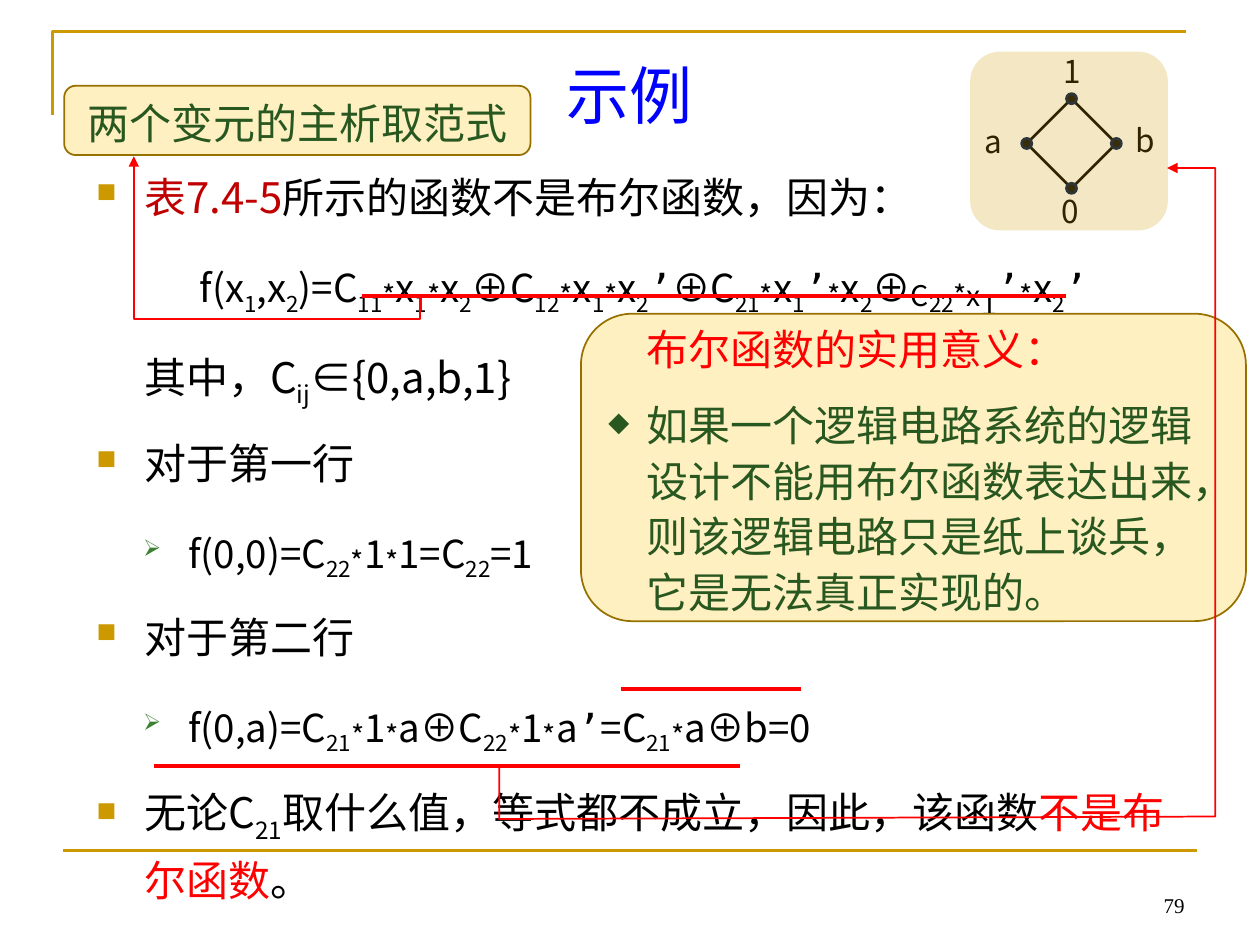
from lxml import etree
from pptx import Presentation
from pptx.dml.color import RGBColor
from pptx.enum.shapes import MSO_CONNECTOR, MSO_SHAPE
from pptx.enum.text import MSO_ANCHOR, PP_ALIGN
from pptx.oxml.ns import qn
from pptx.util import Pt

LINE = MSO_CONNECTOR.STRAIGHT
ROUND, OVAL = MSO_SHAPE.ROUNDED_RECTANGLE, MSO_SHAPE.OVAL
TOP, MID, LOW = MSO_ANCHOR.TOP, MSO_ANCHOR.MIDDLE, MSO_ANCHOR.BOTTOM
LEFT, MIDST, RIGHT = PP_ALIGN.LEFT, PP_ALIGN.CENTER, PP_ALIGN.RIGHT
SANS, MONO, SERIF = "Noto Sans CJK SC", "DejaVu Sans Mono", "Times New Roman"
GOLD, RED, BLACK, GREEN = "CC9900", "FF0000", "000000", "285720"
CREAM, BROWN = "FFF0C2", "977100"
SQUARE = ("■", GOLD, 65)
ARROW = ("➢", "3B812F", 60)
GEM = ("◆", GREEN, 65)


def tint(text):
    return RGBColor.from_string(text)


def put(item, vals):
    for key, val in vals.items():
        setattr(item, key, val)


def sub(top, tag, **vals):
    return etree.SubElement(top, qn(tag), vals)


def add_run(para, text, size, color, font=SANS, base=0):
    run = para.add_run()
    run.text = text
    put(run.font, {"size": Pt(size), "name": font})
    run.font.color.rgb = tint(color)
    props = run.font._element
    sub(props, "a:ea", typeface=font)
    if base:
        props.set("baseline", str(base * 1000))


def add_math(para, text, size, color, font=SANS):
    # "_" toggles subscripts, "~" toggles large lowered text
    low = big = False
    part, last = "", None
    for sign in text:
        if sign == "_":
            low = not low
            continue
        if sign == "~":
            big = not big
            continue
        large = big or sign == "*"
        base = -25 if low else -8 if large else 0
        look = (28 if large else size, color, MONO if sign == "’" else font, base)
        if part and look != last:
            add_run(para, part, *last)
            part = ""
        part, last = part + sign, look
    add_run(para, part, *last)


def add_mark(para, mark):
    char, color, size = mark
    props = para._p.get_or_add_pPr()
    sub(sub(props, "a:buClr"), "a:srgbClr", val=color)
    sub(props, "a:buSzPct", val=str(size * 1000))
    sub(props, "a:buChar", char=char)


def add_para(frame, first, runs, size, font=SANS, mark=None, left=0, hang=0, **form):
    para = frame.paragraphs[0] if first else frame.add_paragraph()
    if first:
        form.pop("space_before", None)
    put(para, form)
    props = para._p.get_or_add_pPr()
    props.set("marL", str(Pt(left)))
    props.set("indent", str(Pt(hang)))
    if mark:
        add_mark(para, mark)
    for text, color in runs:
        add_math(para, text, size, color, font)


def fill_text(shape, paras, anchor=TOP):
    frame = shape.text_frame
    put(frame, {"word_wrap": True, "vertical_anchor": anchor})
    for i, para in enumerate(paras):
        add_para(frame, i == 0, **para)


def add_text(slide, box, paras, anchor=TOP):
    fill_text(slide.shapes.add_textbox(*map(Pt, box)), paras, anchor)


def add_form(slide, kind, box, fill, line=None, width=1, alpha=None):
    shape = slide.shapes.add_shape(kind, *map(Pt, box))
    shape.shadow.inherit = False
    shape.fill.solid()
    shape.fill.fore_color.rgb = tint(fill)
    if alpha:
        color = shape._element.spPr.find(qn("a:solidFill"))[0]
        sub(color, "a:alpha", val=str(alpha * 1000))
    if line:
        shape.line.color.rgb = tint(line)
        shape.line.width = Pt(width)
    else:
        shape.line.fill.background()
    return shape


def add_line(slide, start, end, color, width):
    line = slide.shapes.add_connector(LINE, *map(Pt, start + end))
    line.line.color.rgb = tint(color)
    line.line.width = Pt(width)
    sub(line._element.spPr, "a:effectLst")


def add_path(slide, dots, color, width, head=False):
    dots = [(Pt(x), Pt(y)) for x, y in dots]
    pen = slide.shapes.build_freeform(*dots[0])
    pen.add_line_segments(dots[1:], close=False)
    shape = pen.convert_to_shape()
    shape.shadow.inherit = False
    shape.fill.background()
    shape.line.color.rgb = tint(color)
    shape.line.width = Pt(width)
    if head:
        sub(shape.line._get_or_add_ln(), "a:tailEnd", type="triangle")


def add_body(slide):
    form = {"line_spacing": 1.2, "space_before": Pt(4.8), "space_after": Pt(6)}
    item = dict(form, size=24, mark=SQUARE, left=27.4, hang=-27.4)
    step = dict(form, size=22, mark=ARROW, left=52.6, hang=-25.9)
    proof = "无论C_21_取什么值，等式都不成立，因此，该函数"
    sum_all = ("f(x_1_,x_2_)=C_11_*x_1_*x_2_⊕C_12_*x_1_*x_2_’"
               "⊕C_21_*x_1_’*x_2_⊕~C~_22_~*x_1_~’*x_2_’")
    rows = [
        (item, [("表7.4-5", "C00000"), ("所示的函数不是布尔函数，因为：", BLACK)]),
        (dict(step, mark=None, left=85), [(sum_all, BLACK)]),
        (dict(item, mark=None, left=54.7), [("其中，C_ij_∈{0,a,b,1}", BLACK)]),
        (item, [("对于第一行", BLACK)]),
        (step, [("f(0,0)=C_22_*1*1=C_22_=1", BLACK)]),
        (item, [("对于第二行", BLACK)]),
        (step, [("f(0,a)=C_21_*1*a⊕C_22_*1*a’=C_21_*a⊕b=0", BLACK)]),
        (item, [(proof, BLACK), ("不是布尔函数", RED), ("。", BLACK)]),
    ]
    add_text(slide, (48, 88.5, 636, 383), [dict(look, runs=runs) for look, runs in rows])


def add_note(slide):
    form = {"size": 24, "line_spacing": 1.1, "left": 21.6}
    note = "如果一个逻辑电路系统的逻辑设计不能用布尔函数表达出来，则该逻辑电路只是纸上谈兵，它是无法真正实现的。"
    shape = add_form(slide, ROUND, (332, 179.3, 380, 175.7), CREAM, BROWN)
    fill_text(shape, [
        dict(form, runs=[("布尔函数的实用意义：", RED)], alignment=LEFT, space_after=Pt(12)),
        dict(form, runs=[(note, GREEN)], alignment=LEFT, space_after=Pt(6),
             mark=GEM, hang=-21.6),
    ], MID)


def add_graph(slide):
    x, y, r, dot = 612.3, 82, 25.6, 2.9
    nodes = [(x, y - r), (x + r, y), (x, y + r), (x - r, y)]
    for i, node in enumerate(nodes):
        add_line(slide, node, nodes[(i + 1) % 4], BLACK, 1.5)
    for a, b in nodes:
        add_form(slide, OVAL, (a - dot, b - dot, 2 * dot, 2 * dot), "0D0D0D", "00194C", 1.5)
    for text, a, b in [("1", 612.5, 26), ("b", 654.5, 65.5), ("0", 611.5, 106), ("a", 567.7, 66)]:
        add_text(slide, (a - 20, b, 40, 29),
                 [dict(runs=[(text, BLACK)], size=18, alignment=MIDST)])
    add_form(slide, ROUND, (554.4, 29.5, 113, 102.2), GOLD, alpha=23)


def add_links(slide):
    for a, b, y in [(87.8, 422.6, 437.8), (206.6, 609, 169.2), (355, 458, 393.8)]:
        add_line(slide, (a, y), (b, y), RED, 2.25)
    add_path(slide, [(285.3, 437.8), (285.3, 468), (694.5, 466.6), (694.5, 96), (667, 96)],
             RED, 1, True)
    add_path(slide, [(240, 169.2), (240, 182.2), (76.5, 182.2), (76.5, 89.3)], RED, 1, True)


def main():
    deck = Presentation()
    put(deck, {"slide_width": Pt(720), "slide_height": Pt(540)})
    slide = deck.slides.add_slide(deck.slide_layouts[6])
    add_path(slide, [(30, 66), (30, 18), (678, 18)], GOLD, 1.5)
    add_line(slide, (36, 486), (684, 486), GOLD, 1.5)
    add_text(slide, (36, 26, 648, 55.4),
             [dict(runs=[("示例", "0000FF")], size=36, alignment=MIDST)], MID)
    add_body(slide)
    add_text(slide, (626.4, 491.8, 57.6, 36),
             [dict(runs=[("79", BLACK)], size=12, font=SERIF, alignment=RIGHT)], LOW)
    add_note(slide)
    add_graph(slide)
    label = add_form(slide, ROUND, (36.7, 49, 266.4, 39.6), CREAM, BROWN)
    fill_text(label, [dict(runs=[("两个变元的主析取范式", GREEN)], size=24, left=21.6,
                           hang=-21.6, line_spacing=1.1, alignment=MIDST,
                           space_after=Pt(6))], MID)
    add_links(slide)
    deck.save("out.pptx")


if __name__ == "__main__":
    main()
